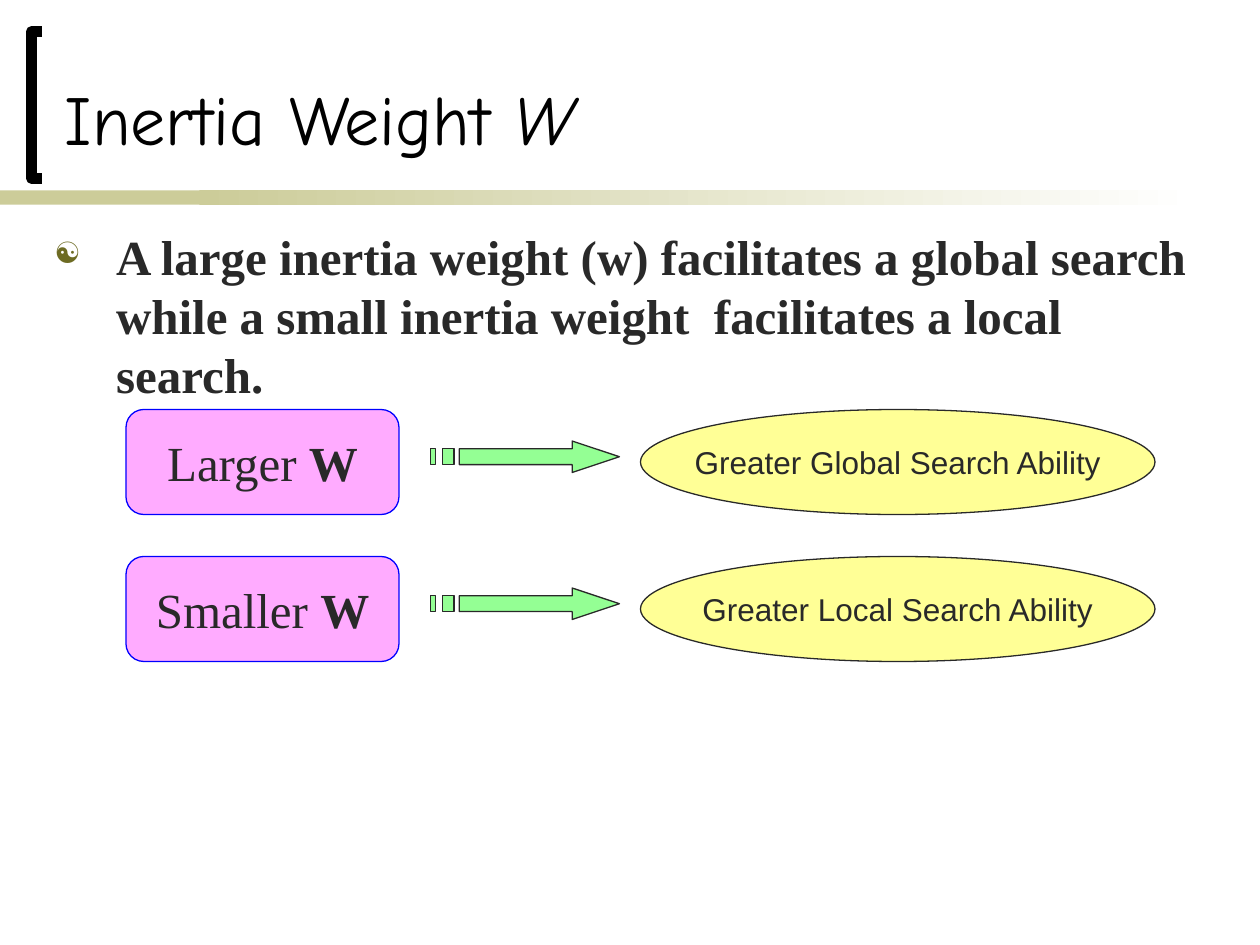
from lxml import etree
from pptx import Presentation
from pptx.dml.color import RGBColor
from pptx.enum.shapes import MSO_SHAPE
from pptx.enum.text import MSO_ANCHOR, PP_ALIGN
from pptx.oxml.ns import qn
from pptx.util import Pt

PX = 9525
RECTANGLE = MSO_SHAPE.RECTANGLE
ROUNDED = MSO_SHAPE.ROUNDED_RECTANGLE
ELLIPSE = MSO_SHAPE.OVAL
MIDDLE, BOTTOM, TOP = MSO_ANCHOR.MIDDLE, MSO_ANCHOR.BOTTOM, MSO_ANCHOR.TOP
CENTER = PP_ALIGN.CENTER

BLACK = RGBColor(0x00, 0x00, 0x00)
WHITE = RGBColor(0xFF, 0xFF, 0xFF)
INK = RGBColor(0x29, 0x29, 0x29)
KHAKI = RGBColor(0xCC, 0xCC, 0x99)
OLIVE = RGBColor(0x6D, 0x6B, 0x23)
MAGENTA = RGBColor(0xFF, 0x00, 0xFF)
YELLOW = RGBColor(0xFF, 0xFF, 0x00)
GREEN = RGBColor(0x00, 0xFF, 0x00)
BLUE = RGBColor(0x00, 0x00, 0xFF)

TITLE_FONT, SERIF, SANS = "Comic Neue", "Times New Roman", "Arial"

TITLE = [("Inertia Weight ", {}), ("W", {"italic": True})]
STATEMENT = [(
    "A large inertia weight (w) facilitates a global search while a small "
    "inertia weight  facilitates a local search.", {"bold": True})]
EFFECTS = [
    ("Larger ", "Greater Global Search Ability"),
    ("Smaller ", "Greater Local Search Ability"),
]

FIRST_ROW, ROW_STEP, ROW_HEIGHT = 312, 112, 80
BRACKET = [(32, 136), (24, 136), (24, 24), (32, 24)]
ARROW_LEFT, ARROW_DROP = 328, 24
ARROW_PARTS = [
    [(108, 0), (108, 6), (22, 6), (22, 18), (108, 18), (108, 24), (144, 12)],
    [(9, 6), (9, 18), (18, 18), (18, 6)],
    [(0, 6), (0, 18), (4, 18), (4, 6)],
]


def px(*lengths):
    return [length * PX for length in lengths]


def paint(shape, color, opacity, line_color):
    shape.shadow.inherit = False
    shape.fill.solid()
    shape.fill.fore_color.rgb = color
    if opacity < 100:
        color_element = shape.fill._xPr.find(qn("a:solidFill"))[0]
        etree.SubElement(color_element, qn("a:alpha"), val=str(opacity * 1000))
    if line_color is None:
        shape.line.fill.background()
    else:
        shape.line.color.rgb = line_color
        shape.line.width = Pt(0.75)


def write(shape, runs, font_name, size, color, anchor, wrap):
    frame = shape.text_frame
    frame.word_wrap = wrap
    frame.vertical_anchor = anchor
    paragraph = frame.paragraphs[0]
    for text, style in runs:
        run = paragraph.add_run()
        run.text = text
        run.font.name = font_name
        run.font.size = Pt(size)
        run.font.color.rgb = color
        run.font.bold = style.get("bold", False)
        run.font.italic = style.get("italic", False)
    return paragraph


def add_bullet(paragraph, character, color, percent, indent):
    properties = paragraph._p.get_or_add_pPr()
    properties.set("marL", str(indent * PX))
    properties.set("indent", str(-indent * PX))
    bullet_color = etree.SubElement(properties, qn("a:buClr"))
    etree.SubElement(bullet_color, qn("a:srgbClr"), val=str(color))
    etree.SubElement(properties, qn("a:buSzPct"), val=str(percent * 1000))
    etree.SubElement(properties, qn("a:buChar"), char=character)


def add_outline(shapes, contours, close):
    builder = shapes.build_freeform(*contours[0][0], scale=PX)
    for number, contour in enumerate(contours):
        if number:
            builder.move_to(*contour[0])
        builder.add_line_segments(contour[1:], close=close)
    return builder.convert_to_shape()


def add_header(shapes):
    band = shapes.add_shape(RECTANGLE, *px(0, 145, 224, 11))
    paint(band, KHAKI, 100, None)
    fade = shapes.add_shape(RECTANGLE, *px(152, 145, 760, 11))
    paint(fade, KHAKI, 100, None)
    fade.fill.gradient()
    fade.fill.gradient_angle = 0
    for stop, color, position in zip(fade.fill.gradient_stops, (KHAKI, WHITE), (0, 1)):
        stop.color.rgb = color
        stop.position = position
    bracket = add_outline(shapes, [BRACKET], False)
    bracket.shadow.inherit = False
    bracket.fill.background()
    bracket.line.color.rgb = BLACK
    bracket.line.width = Pt(6)
    title = shapes.add_textbox(*px(40, 32, 894, 94))
    write(title, TITLE, TITLE_FONT, 40, BLACK, BOTTOM, True)


def add_effect(shapes, top, cause, result):
    box = shapes.add_shape(ROUNDED, *px(96, top, 208, ROW_HEIGHT))
    box.adjustments[0] = 0.17
    paint(box, MAGENTA, 33, BLUE)
    runs = [(cause, {}), ("W", {"bold": True})]
    write(box, runs, SERIF, 28, INK, MIDDLE, False).alignment = CENTER

    oval = shapes.add_shape(ELLIPSE, *px(488, top, 392, ROW_HEIGHT))
    paint(oval, YELLOW, 41, INK)
    write(oval, [(result, {})], SANS, 18, INK, MIDDLE, False).alignment = CENTER

    contours = [[(ARROW_LEFT + x, top + ARROW_DROP + y) for x, y in part]
                for part in ARROW_PARTS]
    paint(add_outline(shapes, contours, True), GREEN, 42, INK)


def main():
    presentation = Presentation()
    presentation.slide_width, presentation.slide_height = px(960, 720)
    slide = presentation.slides.add_slide(presentation.slide_layouts[6])
    shapes = slide.shapes
    add_header(shapes)
    body = shapes.add_textbox(*px(32, 168, 904, 480))
    statement = write(body, STATEMENT, SERIF, 28, INK, TOP, True)
    add_bullet(statement, "☯", OLIVE, 60, 47)
    for row, (cause, result) in enumerate(EFFECTS):
        add_effect(shapes, FIRST_ROW + row * ROW_STEP, cause, result)
    presentation.save("out.pptx")


if __name__ == "__main__":
    main()
